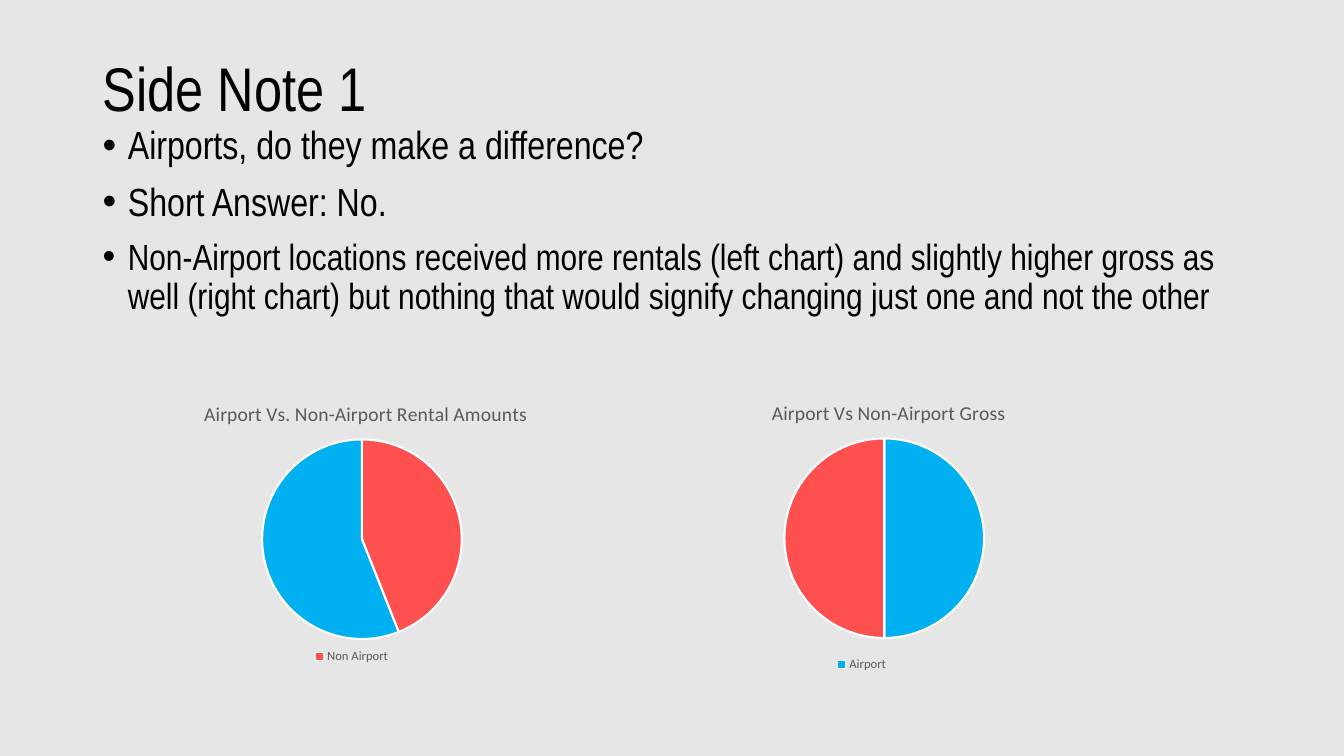
"""Build the "Side Note 1" slide: three bullets above two pie charts."""
import pptx
import pptx.chart.data
import pptx.chart.point
import pptx.dml.color
import pptx.enum.chart
import pptx.enum.text
import pptx.oxml
import pptx.oxml.ns
import pptx.util
from pptx.util import Inches, Pt

COLORS = {"back": "E7E6E6", "text": "000000", "label": "595959",
          "blue": "00B0F0", "red": "FF5050", "edge": "FFFFFF"}
TITLE = ("Side Note 1", 44)
BULLETS = [
    ("Airports, do they make a difference?", 28),
    ("Short Answer: No.", 28),
    ("Non-Airport locations received more rentals (left chart) and slightly higher "
     "gross as well (right chart) but nothing that would signify changing just one "
     "and not the other", 26),
]
CHARTS = [
    {"title": "Airport Vs Non-Airport Gross", "category": "Airport",
     "values": (50, 50), "slices": ("blue", "red"), "at": (6.27, 3.75),
     "title_at": (0.27, 0.06), "legend_at": (0.4, 0.91)},
    {"title": "Airport Vs. Non-Airport Rental Amounts", "category": "Non Airport",
     "values": (44, 56), "slices": ("red", "blue"), "at": (1.09, 3.76),
     "title_at": (0.18, 0.06), "legend_at": (0.4, 0.88)},
]
CHART_SIZE = (5, 3)
PIE_AREA = (0.3, 0.2, 0.4, 0.66)


def color(name):
    return pptx.dml.color.RGBColor.from_string(COLORS[name])


def style_font(font, face, size, name):
    font.name, font.size, font.bold = face, Pt(size), False
    font.color.rgb = color(name)


def add_text(page, area, lines, anchor, bulleted):
    frame = page.shapes.add_textbox(*map(Inches, area)).text_frame
    frame.word_wrap = True
    frame.vertical_anchor = anchor
    for index, (text, size) in enumerate(lines):
        para = frame.paragraphs[0] if index == 0 else frame.add_paragraph()
        para.text = text
        para.line_spacing = 0.9
        if bulleted:
            para.space_before = Pt(10)
        style_font(para.font, "Arial Narrow", size, "text")
        if bulleted:
            props = para._p.get_or_add_pPr()
            props.set("marL", str(Inches(0.25)))
            props.set("indent", str(-Inches(0.25)))
            space = pptx.oxml.ns.nsdecls("a")
            marks = (("buFont", "typeface", "Arial"), ("buChar", "char", "•"))
            run_props = props.find(pptx.oxml.ns.qn("a:defRPr"))
            for tag, key, value in marks:
                run_props.addprevious(
                    pptx.oxml.parse_xml(f'<a:{tag} {space} {key}="{value}"/>'))


def place(element, area, inner=False):
    """Give a chart part a manual layout in fractions of the chart."""
    target = '<c:layoutTarget val="inner"/>' if inner else ""
    modes = "".join(f'<c:{key}Mode val="edge"/>' for key in "xy")
    sizes = "".join(f'<c:{key} val="{value}"/>' for key, value in zip("xywh", area))
    layout = pptx.oxml.parse_xml(
        f'<c:layout {pptx.oxml.ns.nsdecls("c")}><c:manualLayout>'
        f"{target}{modes}{sizes}</c:manualLayout></c:layout>")
    for old in element.findall(pptx.oxml.ns.qn("c:layout")):
        element.remove(old)
    leading = [pptx.oxml.ns.qn(tag) for tag in ("c:tx", "c:legendPos")]
    element.insert(sum(child.tag in leading for child in element), layout)


def add_pie(page, item):
    data = pptx.chart.data.CategoryChartData()
    data.categories = [item["category"]]
    data.add_series("Series 1", item["values"])
    chart = page.shapes.add_chart(
        pptx.enum.chart.XL_CHART_TYPE.PIE,
        *map(Inches, item["at"] + CHART_SIZE), data).chart
    style_font(chart.font, "Calibri", 10, "text")

    heading = chart.chart_title
    heading.text_frame.text = item["title"]
    style_font(heading.text_frame.paragraphs[0].font, "Calibri", 14, "label")
    heading.include_in_layout = False
    place(heading._element, item["title_at"])

    chart.has_legend = True
    chart.legend.position = pptx.enum.chart.XL_LEGEND_POSITION.BOTTOM
    chart.legend.include_in_layout = False
    style_font(chart.legend.font, "Calibri", 9, "label")
    place(chart.legend._element, item["legend_at"])

    place(chart._chartSpace.chart.plotArea, PIE_AREA, inner=True)
    plot = chart.plots[0]
    plot.vary_by_categories = True
    for index, name in enumerate(item["slices"]):
        look = pptx.chart.point.Point(plot.series[0]._element, index).format
        look.fill.solid()
        look.fill.fore_color.rgb = color(name)
        look.line.color.rgb = color("edge")
        look.line.width = Pt(1.5)


deck = pptx.Presentation()
deck.slide_width, deck.slide_height = Inches(13.33), Inches(7.5)
page = deck.slides.add_slide(deck.slide_layouts[6])
page.background.fill.solid()
page.background.fill.fore_color.rgb = color("back")
anchors = pptx.enum.text.MSO_ANCHOR
add_text(page, (0.92, 0.4, 11.5, 1.02), [TITLE], anchors.MIDDLE, False)
add_text(page, (0.92, 1.2, 11.5, 5.56), BULLETS, anchors.TOP, True)
for item in CHARTS:
    add_pie(page, item)
deck.save("out.pptx")
